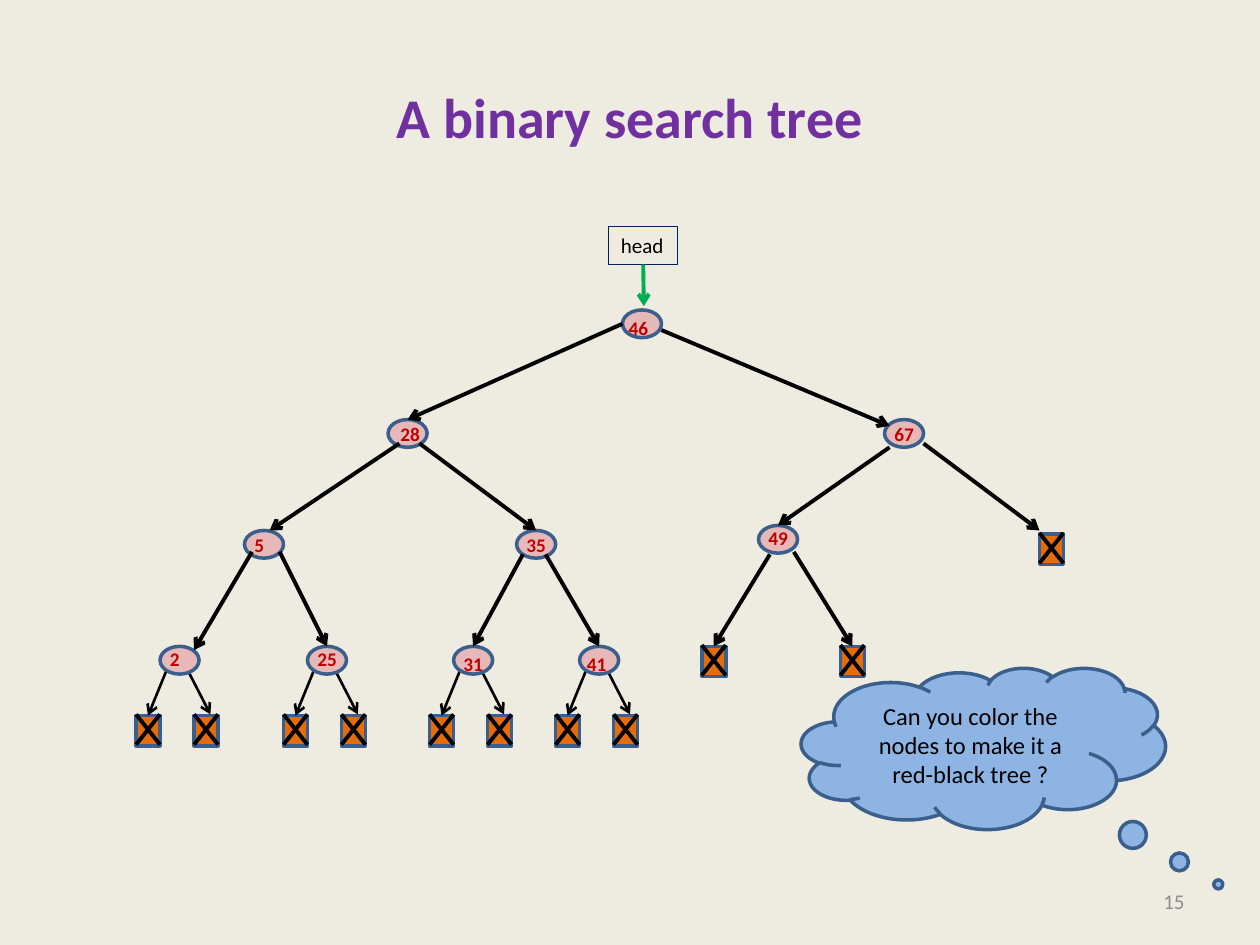
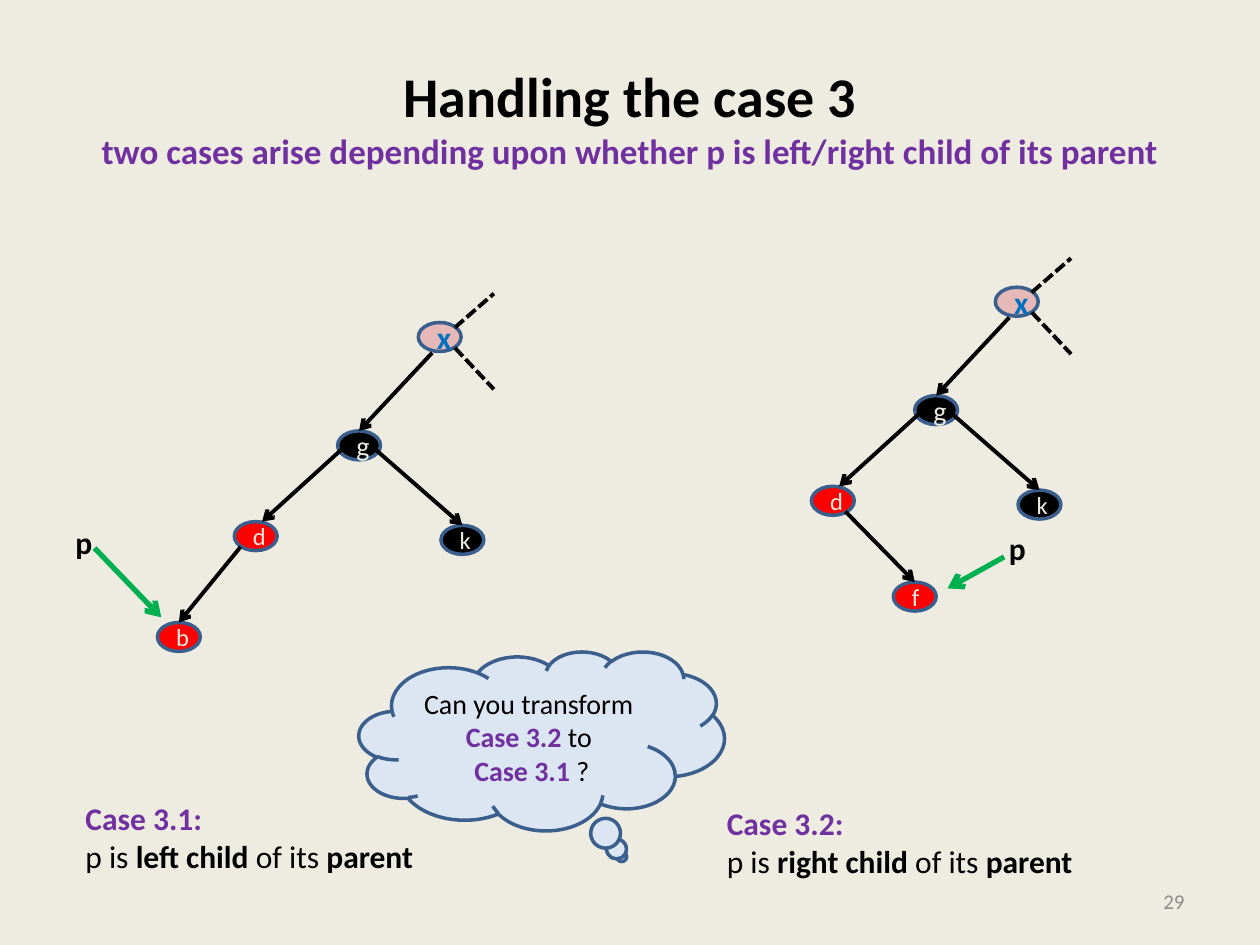
from copy import deepcopy

from lxml.etree import SubElement
from pptx import Presentation
from pptx.dml.color import RGBColor
from pptx.enum.dml import MSO_LINE
from pptx.enum.shapes import MSO_CONNECTOR, MSO_SHAPE
from pptx.enum.text import MSO_ANCHOR, MSO_AUTO_SIZE, PP_ALIGN
from pptx.oxml.ns import qn
from pptx.util import Inches, Pt

FONT = "Calibri"
CREAM, BLACK, OUTLINE = "EEECE1", "000000", "3A5F8C"
PURPLE, GREEN, RED, PINK = "7030A0", "00B050", "FF0000", "E6B9B8"
ORANGE, DARK_RED, BLUE, GREY, NAVY = "E46C0A", "C00000", "0070C0", "8C8C8C", "002060"

NODE_W, NODE_H = 0.31, 0.22
LEAF_W, LEAF_H = 0.19, 0.24

# value: node left, node top, label shift right, label shift down
TREE = {
    46: (4.94, 2.46, -0.05, 0),
    28: (3.08, 3.33, 0, -0.03),
    67: (7.02, 3.33, -0.02, -0.03),
    5: (1.94, 4.21, -0.02, -0.03),
    35: (4.10, 4.21, -0.02, -0.03),
    49: (6.02, 4.17, -0.02, -0.04),
    2: (1.27, 5.13, -0.02, -0.04),
    25: (2.44, 5.13, -0.02, -0.04),
    31: (3.60, 5.13, -0.02, 0),
    41: (4.60, 5.13, -0.04, 0),
}


def rgb(color):
    return RGBColor.from_string(color)


def box(x, y, w, h):
    return [Inches(v) for v in (x, y, w, h)]


def add_run(p, text, size, color=BLACK, bold=False):
    r = p.add_run()
    r.text = text
    r.font.name, r.font.size, r.font.bold = FONT, Pt(size), bold
    r.font.color.rgb = rgb(color)
    return r


def add_title(s, text, color=BLACK, subtitle=None):
    sp = s.shapes.title
    sp.left, sp.top, sp.width, sp.height = box(0.5, 0.3, 9, 1.25)
    sp.text_frame.vertical_anchor = MSO_ANCHOR.MIDDLE
    p = sp.text_frame.paragraphs[0]
    p.alignment = PP_ALIGN.CENTER
    r = add_run(p, text, 32, color, True)
    if subtitle:
        p.add_line_break()
        p._p[-1].append(deepcopy(r._r.rPr))  # the break keeps the heading size
        add_run(p, subtitle, 20, PURPLE, True)


def add_text(s, bounds, paragraphs, wrap=False, align=PP_ALIGN.LEFT):
    """Add a text box; each paragraph is a list of add_run arguments."""
    tf = s.shapes.add_textbox(*box(*bounds)).text_frame
    tf.word_wrap = wrap
    if not wrap:
        tf.auto_size = MSO_AUTO_SIZE.SHAPE_TO_FIT_TEXT
    fill_text(tf, paragraphs, align)
    return tf


def fill_text(tf, paragraphs, align):
    for i, runs in enumerate(paragraphs):
        p = tf.add_paragraph() if i else tf.paragraphs[0]
        p.alignment = align
        for run in runs:
            add_run(p, *run)


def add_shape(s, kind, bounds, fill=None, line=OUTLINE, width=2):
    sp = s.shapes.add_shape(kind, *box(*bounds))
    sp.shadow.inherit = False
    if fill:
        sp.fill.solid()
        sp.fill.fore_color.rgb = rgb(fill)
    else:
        sp.fill.background()
    sp.line.color.rgb = rgb(line)
    sp.line.width = Pt(width)
    return sp


def add_line(s, start, end, color=BLACK, width=2.25, arrow=True, dashed=False):
    """Draw a line; an end given as a shape is joined at its top middle."""
    joined = not isinstance(end, tuple)
    target = start if joined else end
    cn = s.shapes.add_connector(
        MSO_CONNECTOR.STRAIGHT, *[Inches(v) for v in (*start, *target)])
    if joined:
        cn.end_connect(end, 0)
    cn.line.color.rgb = rgb(color)
    cn.line.width = Pt(width)
    if dashed:
        cn.line.dash_style = MSO_LINE.SQUARE_DOT
    if arrow:
        SubElement(cn.line._get_or_add_ln(), qn("a:tailEnd"), type="arrow")
    SubElement(cn._element.spPr, qn("a:effectLst"))
    return cn


def add_leaf(s, x, y):
    """Add the crossed box that stands for an empty child."""
    sp = add_shape(s, MSO_SHAPE.RECTANGLE, (x, y, LEAF_W, LEAF_H), ORANGE)
    top, bottom = y - 0.01, y + LEAF_H - 0.01
    add_line(s, (x + LEAF_W, top), (x, bottom), arrow=False)
    add_line(s, (x, top), (x + LEAF_W, bottom), arrow=False)
    return sp


def add_cloud(s, bounds, tail, fill, paragraphs):
    sp = add_shape(s, MSO_SHAPE.CLOUD_CALLOUT, bounds, fill)
    sp.adjustments[0], sp.adjustments[1] = tail
    sp.text_frame.vertical_anchor = MSO_ANCHOR.MIDDLE
    fill_text(sp.text_frame, paragraphs, PP_ALIGN.CENTER)


def add_slide(prs, number, *title):
    s = prs.slides.add_slide(prs.slide_layouts[5])
    add_title(s, *title)
    tf = add_text(s, (7.17, 6.95, 2.33, 0.4), [[(str(number), 12, GREY)]],
                  wrap=True, align=PP_ALIGN.RIGHT)
    tf.vertical_anchor = MSO_ANCHOR.MIDDLE
    return s


def add_search_tree(s):
    for value in (2, 25, 31, 41):
        x, y = TREE[value][:2]
        left = add_leaf(s, x - 0.19, y + 0.55)
        add_leaf(s, x + 0.27, y + 0.55)
        add_line(s, (x + 0.06, y + 0.17), left, width=1.5)
        add_line(s, (x + 0.21, y + 0.17), (x + 0.4, y + 0.54), width=1.5)
    leaf_a, leaf_b = add_leaf(s, 5.57, 5.13), add_leaf(s, 6.67, 5.13)
    add_leaf(s, 8.25, 4.24)

    nodes = {value: add_shape(s, MSO_SHAPE.OVAL, (x, y, NODE_W, NODE_H), PINK)
             for value, (x, y, _, _) in TREE.items()}
    edges = [
        ((4.94, 2.57), nodes[28]), ((5.25, 2.62), (7.06, 3.38)),
        ((3.17, 3.52), (2.14, 4.21)), ((3.33, 3.52), nodes[35]),
        ((7.06, 3.55), nodes[49]), ((7.33, 3.52), (8.25, 4.21)),
        ((2.00, 4.38), (1.54, 5.16)), ((2.22, 4.38), nodes[25]),
        ((4.15, 4.40), nodes[31]), ((4.33, 4.40), nodes[41]),
        ((6.11, 4.40), leaf_a), ((6.30, 4.38), leaf_b),
    ]
    for start, end in edges:
        add_line(s, start, end)

    head = add_shape(s, MSO_SHAPE.RECTANGLE, (4.83, 1.8, 0.55, 0.3), None, NAVY, 0.75)
    head.text_frame.vertical_anchor = MSO_ANCHOR.TOP
    fill_text(head.text_frame, [[("head", 12)]], PP_ALIGN.LEFT)
    add_line(s, (5.11, 2.1), (5.11, 2.43), GREEN).begin_connect(head, 2)

    for value, (x, y, dx, dy) in TREE.items():
        width = 0.28 if value < 10 else 0.36
        add_text(s, (x + dx, y + dy, width, 0.29), [[(str(value), 11, DARK_RED, True)]])


def add_letter_node(s, x, y, letter, fill, size=14, color=CREAM, bold=False):
    sp = add_shape(s, MSO_SHAPE.OVAL, (x, y, 0.34, 0.23), fill)
    sp.text_frame.vertical_anchor = MSO_ANCHOR.MIDDLE
    fill_text(sp.text_frame, [[(letter, size, color, bold)]], PP_ALIGN.CENTER)
    return sp


def add_case_tree(s, dx, dy):
    """Add the nodes x, g, d and k, which both cases have in common."""
    def at(x, y):
        return x + dx, y + dy

    add_letter_node(s, *at(3.32, 2.56), "x", PINK, 18, BLUE, True)
    g = add_letter_node(s, *at(2.68, 3.42), "g", BLACK, 16)
    add_letter_node(s, *at(1.86, 4.14), "d", RED)
    k = add_letter_node(s, *at(3.5, 4.17), "k", BLACK)
    add_line(s, at(3.43, 2.8), g)
    add_line(s, at(2.73, 3.55), at(2.08, 4.14))
    add_line(s, at(2.96, 3.55), k)
    for y1, y2 in ((2.6, 2.33), (2.76, 3.09)):
        add_line(s, at(3.61, y1), at(3.92, y2), arrow=False, dashed=True)


def add_pointer(s, x, y, start, end):
    add_line(s, start, end, GREEN, 3)
    add_text(s, (x, y, 0.34, 0.4), [[("p", 18, BLACK, True)]])


def add_case_note(s, bounds, case, side):
    add_text(s, bounds, [
        [(f"{case}:", 18, PURPLE, True)],
        [("p is ", 18), (f"{side} child ", 18, BLACK, True), ("of its ", 18),
         ("parent", 18, BLACK, True)],
    ])


def main():
    prs = Presentation()
    prs.slide_width, prs.slide_height = Inches(10), Inches(7.5)
    background = prs.slide_master.background.fill
    background.solid()
    background.fore_color.rgb = rgb(CREAM)

    s = add_slide(prs, 15, "A binary search tree", PURPLE)
    add_search_tree(s)
    add_cloud(s, (6.36, 5.3, 2.89, 1.28), (0.645, 0.843), "8EB4E3",
              [[("Can you color the nodes to make it a red-black tree ?", 14)]])

    s = add_slide(prs, 29, "Handling the case 3", BLACK,
                  "two cases arise depending upon whether p is left/right child of its parent")
    add_case_tree(s, 0, 0)
    add_line(s, (1.91, 4.34), add_letter_node(s, 1.25, 4.94, "b", RED))
    add_pointer(s, 0.5, 4.1, (0.75, 4.35), (1.28, 4.9))
    add_case_tree(s, 4.58, -0.28)
    add_line(s, (6.71, 4.06), add_letter_node(s, 7.09, 4.62, "f", RED))
    add_pointer(s, 7.91, 4.15, (7.97, 4.42), (7.52, 4.67))
    add_case_note(s, (0.58, 6.29, 2.83, 0.71), "Case 3.1", "left")
    add_case_note(s, (5.67, 6.33, 2.97, 0.71), "Case 3.2", "right")
    add_cloud(s, (2.85, 5.17, 2.9, 1.42), (0.219, 0.647), "DCE6F2", [
        [("Can you transform ", 16), ("Case 3.2 ", 16, PURPLE, True), ("to", 16)],
        [(" ", 16), ("Case 3.1", 16, PURPLE, True), (" ?", 16)],
    ])

    prs.save("out.pptx")


if __name__ == "__main__":
    main()
